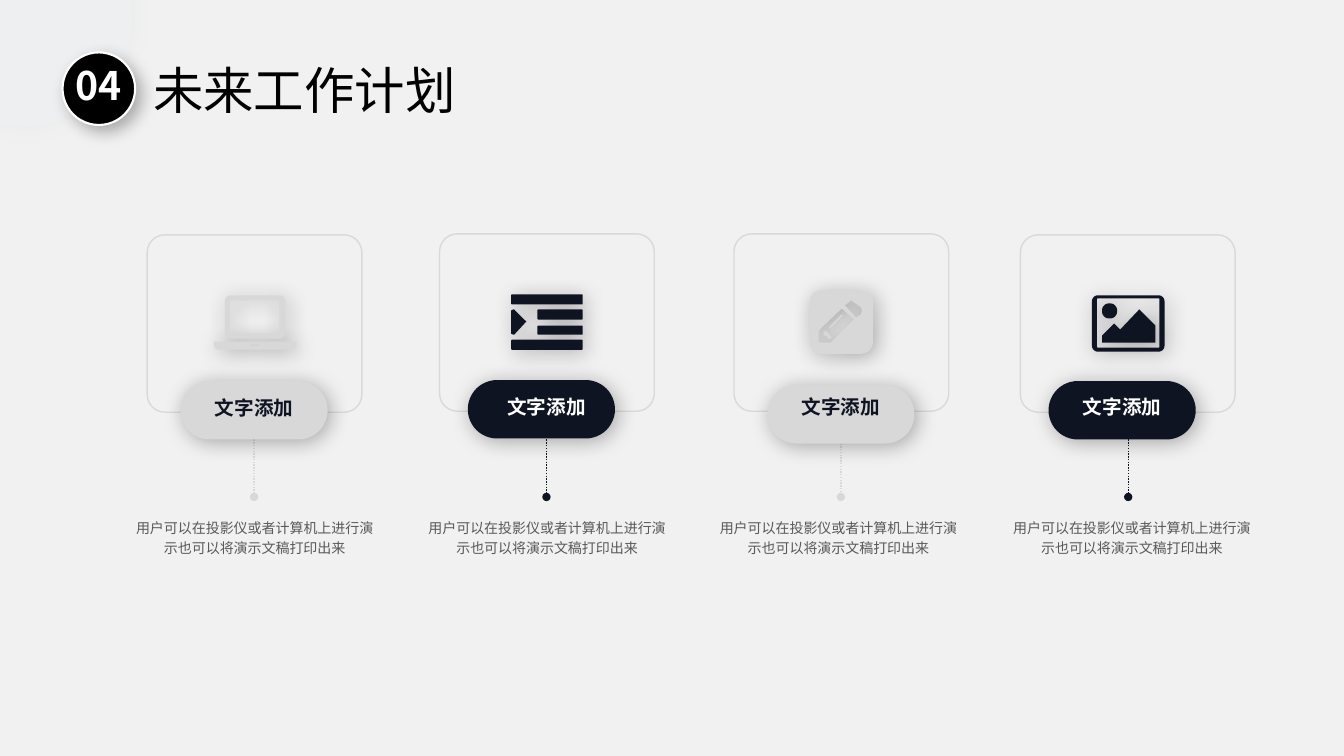
from math import cos, radians, sin

from lxml import etree
from pptx import Presentation
from pptx.dml.color import RGBColor
from pptx.enum.dml import MSO_LINE
from pptx.enum.shapes import MSO_CONNECTOR, MSO_SHAPE as SHAPE
from pptx.enum.text import MSO_AUTO_SIZE, PP_ALIGN as ALIGN
from pptx.oxml.ns import qn
from pptx.util import Inches, Pt

FONT = "Noto Sans CJK SC"
COLORS = {
    "page": "F1F1F1", "corner": "EDEFF0", "haze": "AAB4BD",
    "black": "000000", "white": "FFFFFF", "navy": "0F1423",
    "gray": "D8D8D8", "outline": "D9D9D9", "body": "595959",
}
COLORS = {name: RGBColor.from_string(value) for name, value in COLORS.items()}

deck = Presentation()
deck.slide_width, deck.slide_height = Inches(13.33), Inches(7.5)
page = deck.slides.add_slide(deck.slide_layouts[6])
page.background.fill.solid()
page.background.fill.fore_color.rgb = COLORS["page"]


def add_text(text, area, size, color, align, spacing=1.0, bold=False, wrap=True):
    box = page.shapes.add_textbox(*map(Inches, area))
    frame = box.text_frame
    frame.word_wrap = wrap
    frame.auto_size = MSO_AUTO_SIZE.SHAPE_TO_FIT_TEXT
    para = frame.paragraphs[0]
    para.alignment, para.line_spacing = align, spacing
    span = para.add_run()
    span.text = text
    span.font.name, span.font.size, span.font.bold = FONT, Pt(size), bold
    span.font.color.rgb = COLORS[color]
    etree.SubElement(span.font._element, qn("a:ea")).set("typeface", FONT)


def rounded(left, top, width, height, radius):
    corners = [
        (left + width - radius, top + height - radius, 0),
        (left + radius, top + height - radius, 90),
        (left + radius, top + radius, 180),
        (left + width - radius, top + radius, 270),
    ]
    return [
        (x + radius * cos(radians(start + step)), y + radius * sin(radians(start + step)))
        for x, y, start in corners
        for step in range(0, 91, 15)
    ]


laptop = [
    [(2.12, 3.39), (2.94, 3.39), (2.94, 3.43), (2.92, 3.46), (2.86, 3.47),
     (2.18, 3.47), (2.14, 3.46), (2.12, 3.43)],
    rounded(2.23, 2.93, 0.6, 0.43, 0.06),
    rounded(2.28, 2.98, 0.49, 0.33, 0.01),
    rounded(2.48, 3.42, 0.09, 0.01, 0.005),
]
indent = [
    rounded(5.07, 2.92, 0.71, 0.1, 0.01),
    [(5.07, 3.08), (5.09, 3.07), (5.1, 3.07), (5.22, 3.19), (5.1, 3.32),
     (5.09, 3.32), (5.07, 3.31)],
    rounded(5.33, 3.07, 0.45, 0.1, 0.01),
    rounded(5.33, 3.23, 0.45, 0.09, 0.01),
    rounded(5.07, 3.37, 0.71, 0.1, 0.01),
]
pencil = [
    rounded(8.03, 2.88, 0.63, 0.63, 0.12),
    [(8.47, 3.17), (8.35, 3.06), (8.12, 3.28), (8.12, 3.4), (8.24, 3.4)],
    [(8.25, 3.35), (8.23, 3.36), (8.21, 3.36), (8.21, 3.33), (8.17, 3.33),
     (8.17, 3.3), (8.19, 3.28)],
    [(8.36, 3.13), (8.24, 3.25), (8.22, 3.25), (8.23, 3.24), (8.35, 3.12)],
    [(8.54, 3.12), (8.55, 3.08), (8.54, 3.05), (8.47, 3.0), (8.44, 2.98),
     (8.42, 3.0), (8.38, 3.03), (8.49, 3.15)],
]
photo = [
    rounded(10.83, 2.93, 0.72, 0.56, 0.06),
    rounded(10.88, 2.96, 0.62, 0.49, 0.01),
    rounded(10.93, 3.01, 0.15, 0.15, 0.07),
    [(11.46, 3.4), (10.93, 3.4), (10.93, 3.33), (11.05, 3.21), (11.11, 3.27),
     (11.3, 3.07), (11.46, 3.23)],
]

haze = page.shapes.add_shape(SHAPE.OVAL, Inches(-1.09), Inches(-1.15), Inches(2.68), Inches(2.68))
corner = page.shapes.add_shape(SHAPE.OVAL, Inches(-0.8), Inches(-0.86), Inches(2.11), Inches(2.11))
badge = page.shapes.add_shape(SHAPE.OVAL, Inches(0.62), Inches(0.52), Inches(0.72), Inches(0.72))
for circle, color in ((haze, "haze"), (corner, "corner"), (badge, "black")):
    circle.shadow.inherit = False
    circle.fill.solid()
    circle.fill.fore_color.rgb = COLORS[color]
    circle.line.fill.background()
badge.line.color.rgb = COLORS["white"]
badge.line.width = Pt(1.5)
haze_color = haze._element.spPr.find(qn("a:solidFill"))[0]
etree.SubElement(haze_color, qn("a:alpha")).set("val", "20000")
haze_effects = haze._element.spPr.find(qn("a:effectLst"))
etree.SubElement(haze_effects, qn("a:softEdge")).set("rad", str(Inches(0.3)))

add_text("未来工作计划", (1.42, 0.54, 3.53, 0.71), 36, "black", ALIGN.JUSTIFY)
add_text("04", (0.65, 0.65, 0.66, 0.48), 28, "white", ALIGN.CENTER, 0.8, True, False)

shaded = [(badge, 12, 6)]
columns = [
    (laptop, "gray", "navy", 2.52, (1.46, 2.33), (1.79, 3.78), (1.79, 3.83), 1.22),
    (indent, "navy", "white", 5.42, (4.36, 2.32), (4.64, 3.77), (4.69, 3.82), 4.12),
    (pencil, "gray", "navy", 8.34, (7.28, 2.32), (7.61, 3.82), (7.61, 3.82), 7.01),
    (photo, "navy", "white", 11.19, (10.12, 2.33), (10.4, 3.78), (10.4, 3.82), 9.92),
]
for icon, color, label_color, stem_x, card_at, pill_at, label_at, body_left in columns:
    stem = page.shapes.add_connector(
        MSO_CONNECTOR.STRAIGHT, Inches(stem_x), Inches(4.36), Inches(stem_x), Inches(4.93))
    stem.line.color.rgb = COLORS[color]
    stem.line.width = Pt(1)
    stem.line.dash_style = MSO_LINE.ROUND_DOT
    stem_outline = stem._element.spPr.find(qn("a:ln"))
    etree.SubElement(stem_outline, qn("a:tailEnd")).set("type", "oval")
    etree.SubElement(stem._element.spPr, qn("a:effectLst"))

    card = page.shapes.add_shape(
        SHAPE.ROUNDED_RECTANGLE, *map(Inches, card_at), Inches(2.13), Inches(1.76))
    card.adjustments[0] = 0.1
    card.shadow.inherit = False
    card.fill.background()
    card.line.color.rgb = COLORS["outline"]
    card.line.width = Pt(1)

    pill = page.shapes.add_shape(
        SHAPE.ROUNDED_RECTANGLE, *map(Inches, pill_at), Inches(1.46), Inches(0.58))
    pill.adjustments[0] = 0.5
    if color == "gray":
        stem.begin_connect(pill, 2)

    builder = page.shapes.build_freeform(*map(Inches, icon[0][0]))
    for number, outline in enumerate(icon):
        points = [(Inches(x), Inches(y)) for x, y in outline]
        if number:
            builder.move_to(*points[0])
        builder.add_line_segments(points[1:], close=True)
    symbol = builder.convert_to_shape()

    for shape in (pill, symbol):
        shape.shadow.inherit = False
        shape.fill.solid()
        shape.fill.fore_color.rgb = COLORS[color]
        shape.line.fill.background()
        shaded.append((shape, 15, 3))

    add_text("文字添加", (*label_at, 1.46, 0.36), 14, label_color, ALIGN.CENTER, 1.2, True)
    add_text("用户可以在投影仪或者计算机上进行演示也可以将演示文稿打印出来",
             (body_left, 5.07, 2.61, 0.49), 10, "body", ALIGN.CENTER, 1.2)

for shape, blur, distance in shaded:
    effects = shape._element.spPr.find(qn("a:effectLst"))
    shadow = etree.SubElement(
        effects, qn("a:outerShdw"), blurRad=str(Pt(blur)), dist=str(Pt(distance)),
        dir="2700000", algn="tl", rotWithShape="0")
    shadow_color = etree.SubElement(shadow, qn("a:srgbClr"), val=str(COLORS["black"]))
    etree.SubElement(shadow_color, qn("a:alpha"), val="30000")

deck.save("out.pptx")
